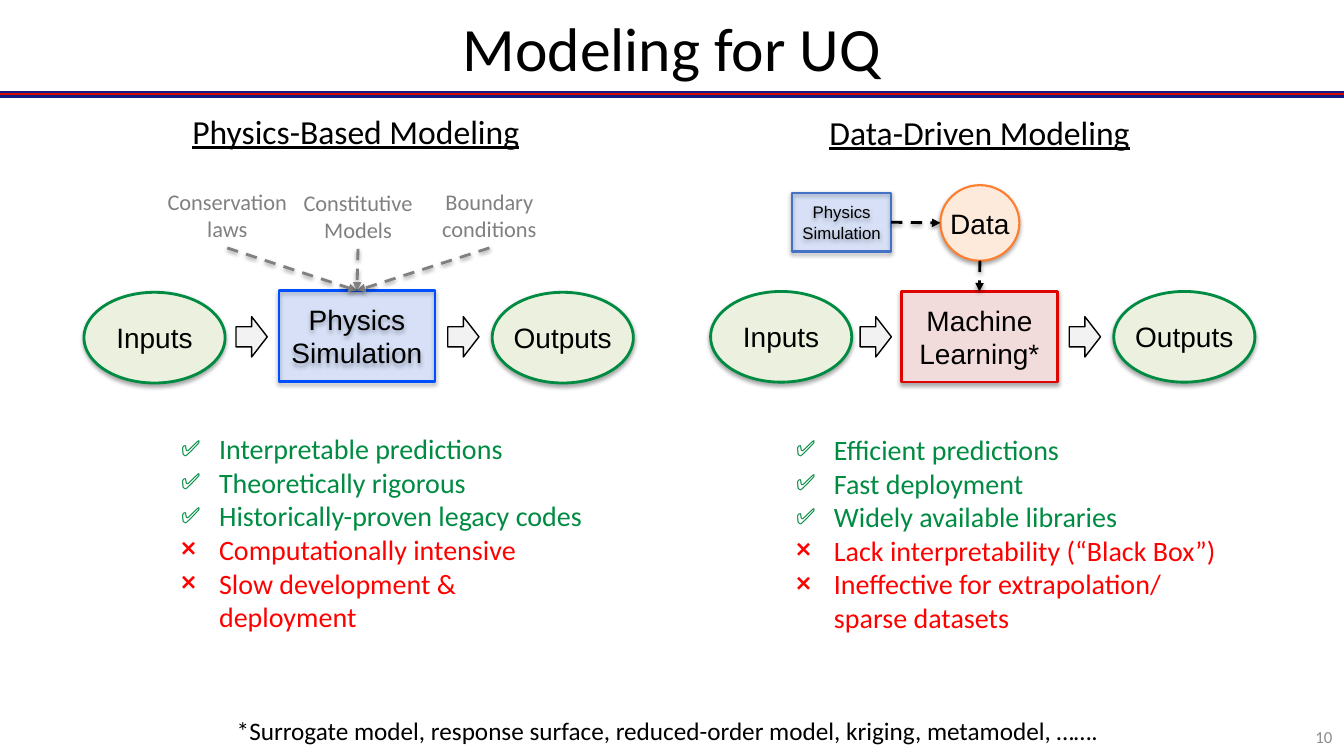
import pptx
import pptx.util
import pptx.oxml.ns
from lxml import etree
from pptx.dml.color import RGBColor
from pptx.enum.dml import MSO_LINE
from pptx.enum.shapes import MSO_CONNECTOR, MSO_SHAPE
from pptx.enum.text import MSO_ANCHOR, MSO_AUTO_SIZE, PP_ALIGN

THEME = {
    "black": "000000", "gray": "808080", "number": "8C8C8C",
    "navy": "121981", "crimson": "D40805",
    "pro": "008B42", "con": "FF0000",
    "green fill": "EBF1DE", "blue": "004FFE", "steel": "4472C4",
    "red": "DE0400", "red fill": "F2DCDB",
    "orange": "FF7E2E", "orange fill": "FDEADA", "arrow fill": "F2F2F2",
    "body": "Calibri", "diagram": "Arial",
    "title size": 44, "heading size": 24, "text size": 20,
    "note size": 18, "source size": 16, "small size": 12,
}
LEFT, CENTER, RIGHT = PP_ALIGN.LEFT, PP_ALIGN.CENTER, PP_ALIGN.RIGHT
qn = pptx.oxml.ns.qn

deck = pptx.Presentation()
deck.slide_width = pptx.util.Inches(13 + 1 / 3)
deck.slide_height = pptx.util.Inches(7.5)
page = deck.slides.add_slide(deck.slide_layouts[6])

# Square grid: 80 columns by 45 rows
CELL = deck.slide_width / 80


def write(frame, para, text, size, font, color, align):
    para.text = text
    para.alignment = align
    for span in para.runs:
        span.font.size = pptx.util.Pt(THEME[size])
        span.font.name = THEME[font]
        span.font.color.rgb = RGBColor.from_string(THEME[color])
        span.font.underline = True if size == "heading size" else None


def cast_shadow(shape, distance, opacity):
    effects = etree.SubElement(shape._element.spPr, qn("a:effectLst"))
    shadow = etree.SubElement(effects, qn("a:outerShdw"), blurRad="40000",
                              dist=str(distance), dir="5400000", rotWithShape="0")
    black = etree.SubElement(shadow, qn("a:srgbClr"), val=THEME["black"])
    etree.SubElement(black, qn("a:alpha"), val=str(opacity * 1000))


# Double rule under the title
for color, weight in (("navy", 5), ("crimson", 1)):
    rule = page.shapes.add_connector(MSO_CONNECTOR.STRAIGHT, 0, int(5.6 * CELL),
                                     deck.slide_width, int(5.6 * CELL))
    rule.line.color.rgb = RGBColor.from_string(THEME[color])
    rule.line.width = pptx.util.Pt(weight)
    etree.SubElement(rule._element.spPr, qn("a:effectLst"))

# Title, number, headings, footnote and the three sources of the physics model
labels = {}
for text, place, size, color, align, wrap, anchor in (
    ("Modeling for UQ", (5.5, -1.26, 69, 8.7), "title size", "black", CENTER, True, MSO_ANCHOR.MIDDLE),
    ("10", (61.9, 42.65, 18, 2.4), "small size", "number", RIGHT, True, MSO_ANCHOR.MIDDLE),
    ("Physics-Based Modeling", (10.86, 6.3, 20.88, 3), "heading size", "black", LEFT, False, MSO_ANCHOR.TOP),
    ("Data-Driven Modeling", (48.78, 6.36, 19.26, 3), "heading size", "black", LEFT, False, MSO_ANCHOR.TOP),
    ("*Surrogate model, response surface, reduced-order model, kriging, metamodel, …….",
     (13.5, 42.3, 53.1, 2.4), "note size", "black", LEFT, False, MSO_ANCHOR.TOP),
    ("Conservation laws", (8.88, 10.92, 9.3, 3.84), "source size", "gray", CENTER, True, MSO_ANCHOR.TOP),
    ("Constitutive Models", (16.66, 10.98, 9.3, 3.84), "source size", "gray", CENTER, True, MSO_ANCHOR.TOP),
    ("Boundary conditions", (24.48, 10.92, 9.3, 3.84), "source size", "gray", CENTER, True, MSO_ANCHOR.TOP),
):
    box = page.shapes.add_textbox(*(int(n * CELL) for n in place))
    frame = box.text_frame
    frame.word_wrap = wrap
    frame.vertical_anchor = anchor
    frame.auto_size = MSO_AUTO_SIZE.NONE if wrap else MSO_AUTO_SIZE.SHAPE_TO_FIT_TEXT
    write(frame, frame.paragraphs[0], text, size, "body", color, align)
    if size == "title size":
        frame.paragraphs[0].line_spacing = 0.9
    labels[text] = box

# Strengths and weaknesses of each approach
for place, strengths, weaknesses in (
    ((10.2, 25.4, 25.1, 12.7),
     ("Interpretable predictions", "Theoretically rigorous", "Historically-proven legacy codes"),
     ("Computationally intensive", "Slow development & deployment")),
    ((46.8, 25.45, 26.4, 12.7),
     ("Efficient predictions", "Fast deployment", "Widely available libraries"),
     ("Lack interpretability (“Black Box”)", "Ineffective for extrapolation/ sparse datasets")),
):
    frame = page.shapes.add_textbox(*(int(n * CELL) for n in place)).text_frame
    frame.word_wrap = True
    points = [(text, "✅", "pro") for text in strengths] + [(text, "❌", "con") for text in weaknesses]
    for index, (text, mark, color) in enumerate(points):
        para = frame.paragraphs[0] if index == 0 else frame.add_paragraph()
        write(frame, para, text, "text size", "body", color, LEFT)
        props = para._p.get_or_add_pPr()
        props.set("marL", "342900")
        props.set("indent", "-342900")
        etree.SubElement(props, qn("a:buSzPct"), val="80000")
        etree.SubElement(props, qn("a:buFont"), typeface=THEME["diagram"])
        etree.SubElement(props, qn("a:buChar"), char=mark)

# Nodes of both process chains
OVAL, RECT = MSO_SHAPE.OVAL, MSO_SHAPE.RECTANGLE
nodes = {}
for name, kind, text, place, fill, line, weight, size in (
    ("physics inputs", OVAL, "Inputs", (5, 17.4, 8.4, 5.4), "green fill", "pro", 2, "text size"),
    ("physics outputs", OVAL, "Outputs", (29.3, 17.4, 8.4, 5.4), "green fill", "pro", 2, "text size"),
    ("physics model", RECT, "Physics Simulation", (16.6, 17.3, 9.3, 5.4), "blue", "blue", 1.75, "text size"),
    ("data inputs", OVAL, "Inputs", (42.3, 17.35, 8.4, 5.4), "green fill", "pro", 2, "text size"),
    ("data outputs", OVAL, "Outputs", (66.3, 17.35, 8.4, 5.4), "green fill", "pro", 2, "text size"),
    ("data model", RECT, "Machine Learning*", (53.65, 17.35, 9.3, 5.4), "red fill", "red", 1.75, "text size"),
    ("data", OVAL, "Data", (55.98, 11.02, 4.7, 4.5), "orange fill", "orange", 1.5, "text size"),
    ("generator", RECT, "Physics Simulation", (47.16, 11.48, 5.88, 3.5), "blue", "steel", 1.75, "small size"),
):
    node = page.shapes.add_shape(kind, *(int(n * CELL) for n in place))
    node.fill.solid()
    node.fill.fore_color.rgb = RGBColor.from_string(THEME[fill])
    if fill == "blue":
        tint = node._element.spPr.find(qn("a:solidFill"))[0]
        etree.SubElement(tint, qn("a:alpha"), val="12000")
    node.line.color.rgb = RGBColor.from_string(THEME[line])
    node.line.width = pptx.util.Pt(weight)
    cast_shadow(node, 23000, 35)
    frame = node.text_frame
    frame.word_wrap = kind == RECT
    frame.vertical_anchor = MSO_ANCHOR.MIDDLE
    frame.margin_left = frame.margin_right = frame.margin_top = frame.margin_bottom = 0
    write(frame, frame.paragraphs[0], text, size, "diagram", "black", CENTER)
    nodes[name] = node

# Block arrows between the nodes
for column in (14.05, 26.65, 51.2, 63.65):
    arrow = page.shapes.add_shape(MSO_SHAPE.RIGHT_ARROW, int(column * CELL), int(18.85 * CELL),
                                  int(1.86 * CELL), int(2.4 * CELL))
    arrow.fill.solid()
    arrow.fill.fore_color.rgb = RGBColor.from_string(THEME["arrow fill"])
    arrow.line.color.rgb = RGBColor.from_string(THEME["black"])
    arrow.line.width = pptx.util.Pt(1)
    arrow.shadow.inherit = False

# Dashed links; the oval's ends are placed by its edges, rectangles are joined
data = nodes["data"]
middle, below = data.left + data.width // 2, data.top + data.height
level = data.top + data.height // 2
TOP, BOTTOM, RIGHT_SIDE = 0, 2, 3
for color, start, start_side, end, end_side, oval_point in (
    ("gray", labels["Boundary conditions"], BOTTOM, nodes["physics model"], TOP, (0, 0)),
    ("gray", labels["Conservation laws"], BOTTOM, nodes["physics model"], TOP, (0, 0)),
    ("gray", labels["Constitutive Models"], BOTTOM, nodes["physics model"], TOP, (0, 0)),
    ("black", None, None, nodes["data model"], TOP, (middle, below)),
    ("black", nodes["generator"], RIGHT_SIDE, None, None, (data.left, level)),
):
    link = page.shapes.add_connector(MSO_CONNECTOR.STRAIGHT, *oval_point, *oval_point)
    if start is not None:
        link.begin_connect(start, start_side)
    if end is not None:
        link.end_connect(end, end_side)
    link.line.color.rgb = RGBColor.from_string(THEME[color])
    link.line.width = pptx.util.Pt(2)
    link.line.dash_style = MSO_LINE.DASH
    etree.SubElement(link.line._get_or_add_ln(), qn("a:tailEnd"), type="triangle")
    cast_shadow(link, 20000, 38)

deck.save("out.pptx")
